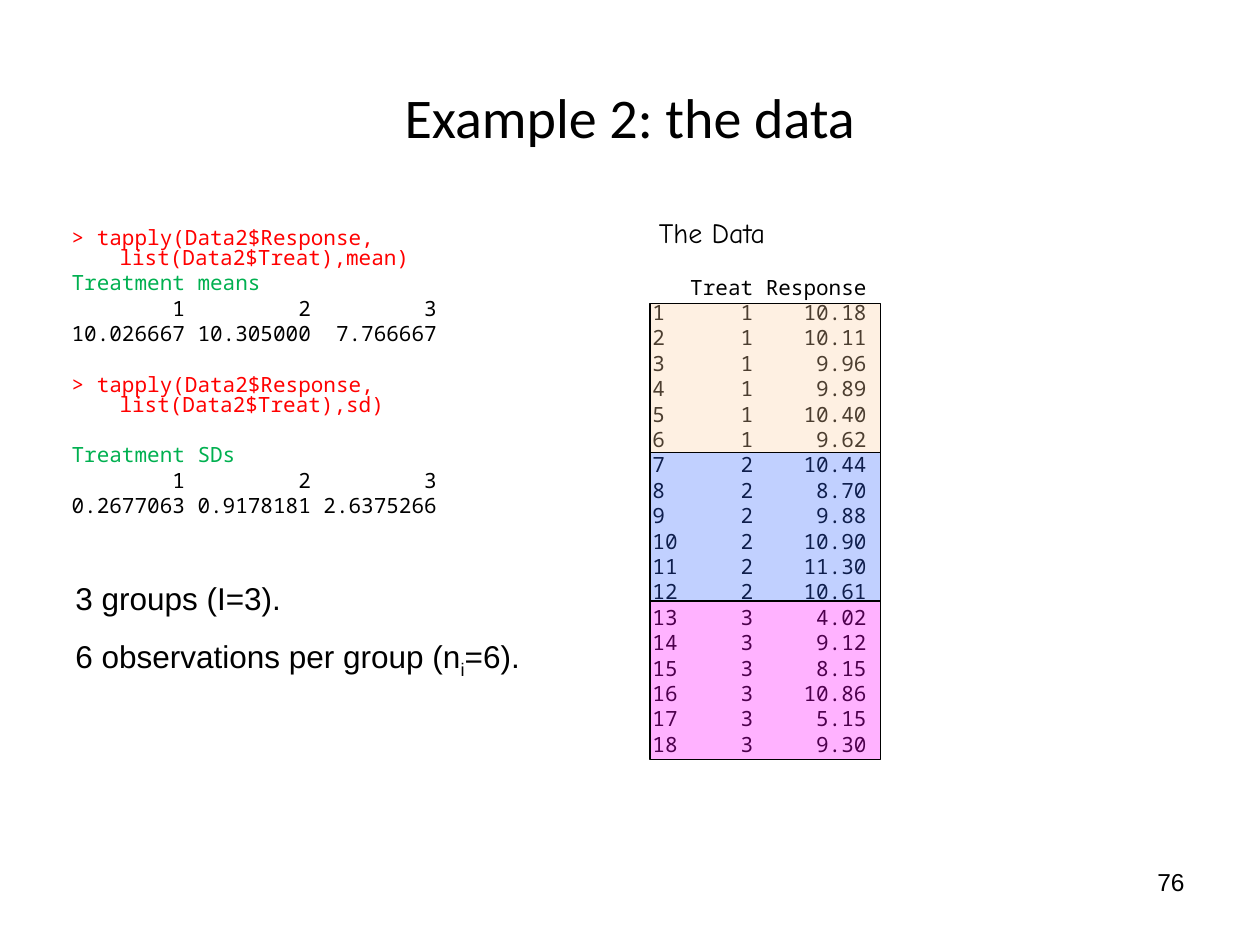
from lxml import etree
from pptx import Presentation
from pptx import util as u
from pptx.dml import color
from pptx.enum import shapes, text
from pptx.oxml import ns

COLORS = {
    "black": "000000",
    "command": "FF0000",
    "caption": "00B050",
    "group 1": "FDCFA1",
    "group 2": "3366FF",
    "group 3": "FF00FF",
}
MONO = "Noto Sans Mono"
BLANK_LINE = 17.4
MEANS_AND_SDS = [
    ("> tapply(Data2$Response, list(Data2$Treat),mean)", "command", 0),
    ("Treatment means", "caption", 3),
    ("        1         2         3", "black", 3),
    ("10.026667 10.305000  7.766667", "black", 3),
    ("> tapply(Data2$Response, list(Data2$Treat),sd)", "command", BLANK_LINE),
    ("Treatment SDs", "caption", BLANK_LINE),
    ("        1         2         3", "black", 3),
    ("0.2677063 0.9178181 2.6375266", "black", 3),
]
RESPONSES = [
    10.18, 10.11, 9.96, 9.89, 10.40, 9.62,
    10.44, 8.70, 9.88, 10.90, 11.30, 10.61,
    4.02, 9.12, 8.15, 10.86, 5.15, 9.30,
]
GROUP_SIZE = 6


def rgb(name):
    return color.RGBColor.from_string(COLORS[name])


def set_values(target, values):
    for name, value in values.items():
        setattr(target, name, value)


def add_box(page, left, top, width, height, **values):
    box = page.shapes.add_textbox(*map(u.Inches, (left, top, width, height)))
    set_values(box.text_frame, {"word_wrap": True, **values})
    return box.text_frame


def add_para(frame, **values):
    first = frame.paragraphs[0]
    para = first if not first.runs else frame.add_paragraph()
    set_values(para, values)
    return para


def add_span(para, words, font, size, ink="black", baseline=0):
    span = para.add_run()
    span.text = words
    set_values(span.font, {"name": font, "size": u.Pt(size)})
    span.font.color.rgb = rgb(ink)
    if baseline:
        span.font._element.set("baseline", str(baseline * 1000))


def set_indent(para, left, first):
    properties = para._p.get_or_add_pPr()
    properties.set("marL", str(u.Inches(left)))
    properties.set("indent", str(u.Inches(first)))


def add_code_line(frame, words, ink="black", before=3):
    para = add_para(frame, line_spacing=0.8, space_before=u.Pt(before))
    set_indent(para, 0.38, -0.38)
    add_span(para, words, MONO, 12, ink)


def add_data_listing(page):
    frame = add_box(page, 5.08, 1.71, 4.42, 4.95)
    heading = add_para(frame, line_spacing=0.8, space_before=u.Pt(0))
    set_indent(heading, 0.05, 0)
    add_span(heading, "The Data", "Comic Neue", 16)
    add_code_line(frame, "   Treat Response", before=BLANK_LINE)
    for index, response in enumerate(RESPONSES):
        treat = index // GROUP_SIZE + 1
        add_code_line(frame, f"{index + 1:<2}     {treat}{response:9.2f}")


def add_group_band(page, top, height, ink):
    band = page.shapes.add_shape(
        shapes.MSO_SHAPE.RECTANGLE, *map(u.Inches, (5.16, top, 1.83, height)))
    band.shadow.inherit = False
    band.fill.solid()
    band.fill.fore_color.rgb = rgb(ink)
    band.line.color.rgb = rgb("black")
    band.line.width = u.Pt(0.75)
    tint = band._element.spPr.find(ns.qn("a:solidFill")).find(ns.qn("a:srgbClr"))
    etree.SubElement(tint, ns.qn("a:alpha")).set("val", "30000")


def main():
    deck = Presentation()
    set_values(deck, {"slide_width": u.Inches(10), "slide_height": u.Inches(7.5)})
    page = deck.slides.add_slide(deck.slide_layouts[6])

    title = add_box(page, 0.5, 0.3, 9, 1.25, vertical_anchor=text.MSO_ANCHOR.MIDDLE)
    add_span(add_para(title, alignment=text.PP_ALIGN.CENTER),
             "Example 2: the data", "Calibri", 32)

    results = add_box(page, 0.47, 1.77, 4.42, 2.45)
    for line in MEANS_AND_SDS:
        add_code_line(results, *line)

    add_data_listing(page)
    for index, height in enumerate((1.18, 1.18, 1.26)):
        add_group_band(page, 2.41 + 1.18 * index, height, f"group {index + 1}")

    design = add_box(page, 0.5, 4.55, 4.17, 0.9)
    add_span(add_para(design), "3 groups (I=3).", "Arial", 18)
    counts = add_para(design, space_before=u.Pt(11.2))
    for words, baseline in (("6 observations per group (n", 0), ("i", -25), ("=6).", 0)):
        add_span(counts, words, "Arial", 18, baseline=baseline)

    number = add_box(page, 7.17, 6.83, 2.33, 0.52)
    add_span(add_para(number, alignment=text.PP_ALIGN.RIGHT), "76", "Arial", 14)

    deck.save("out.pptx")


if __name__ == "__main__":
    main()
